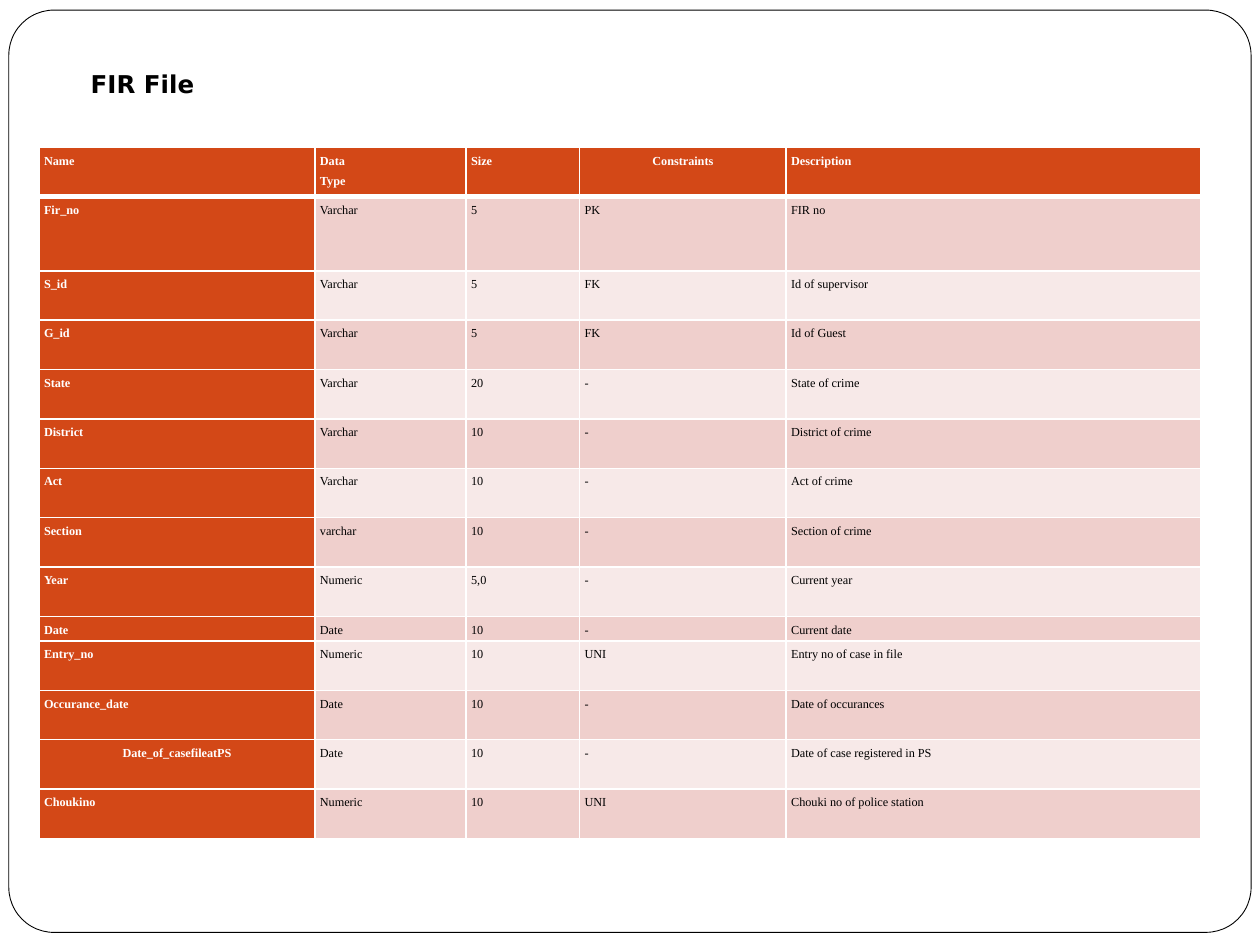
from lxml.etree import SubElement
from pptx import Presentation
from pptx.dml.color import RGBColor
from pptx.enum.shapes import MSO_SHAPE
from pptx.enum.text import PP_ALIGN
from pptx.oxml.ns import qn
from pptx.util import Inches, Pt

WHITE, BLACK, ORANGE = "FFFFFF", "000000", "D34817"
BANDS = ("EFCFCC", "F7E9E8")
COLUMN_WIDTHS = (2.19, 1.2, 0.9, 1.64, 3.29)
LINE_HEIGHT = 0.196
ROW_LINES = (2, 3, 2, 2, 2, 2, 2, 2, 2, 1, 2, 2, 2, 2)
CENTERED = ("Constraints", "Date_of_casefileatPS")
FIELDS = (
    ("Name", "Data\nType", "Size", "Constraints", "Description"),
    ("Fir_no", "Varchar", "5", "PK", "FIR no"),
    ("S_id", "Varchar", "5", "FK", "Id of supervisor"),
    ("G_id", "Varchar", "5", "FK", "Id of Guest"),
    ("State", "Varchar", "20", "-", "State of crime"),
    ("District", "Varchar", "10", "-", "District of crime"),
    ("Act", "Varchar", "10", "-", "Act of crime"),
    ("Section", "varchar", "10", "-", "Section of crime"),
    ("Year", "Numeric", "5,0", "-", "Current year"),
    ("Date", "Date", "10", "-", "Current date"),
    ("Entry_no", "Numeric", "10", "UNI", "Entry no of case in file"),
    ("Occurance_date", "Date", "10", "-", "Date of occurances"),
    ("Date_of_casefileatPS", "Date", "10", "-", "Date of case registered in PS"),
    ("Choukino", "Numeric", "10", "UNI", "Chouki no of police station"),
)


def color(hex_value):
    return RGBColor.from_string(hex_value)


def write(frame, text, *, font, size, fill=BLACK, bold=False,
          align=PP_ALIGN.LEFT, line_spacing=None, space_before=None):
    frame.word_wrap = True
    for number, line in enumerate(text.split("\n")):
        paragraph = frame.add_paragraph() if number else frame.paragraphs[0]
        paragraph.alignment = align
        paragraph.line_spacing = line_spacing
        paragraph.space_before = space_before
        run = paragraph.add_run()
        run.text = line
        run.font.name, run.font.size, run.font.bold = font, Pt(size), bold
        run.font.color.rgb = color(fill)


def set_borders(cell, bottom):
    properties = cell._tc.get_or_add_tcPr()
    for side, width in (("L", 1), ("R", 1), ("T", 1), ("B", bottom)):
        line = SubElement(properties, qn(f"a:ln{side}"), w=str(Pt(width)))
        SubElement(SubElement(line, qn("a:solidFill")), qn("a:srgbClr"), val=WHITE)


def add_frame(slide, left, top, width, height):
    frame = slide.shapes.add_shape(MSO_SHAPE.ROUNDED_RECTANGLE, left, top, width, height)
    frame.adjustments[0] = 0.049
    frame.shadow.inherit = False
    frame.fill.solid()
    frame.fill.fore_color.rgb = color(WHITE)
    frame.line.color.rgb = color(BLACK)
    frame.line.width = Pt(0.5)


def add_heading(slide, left, top, width, height):
    heading = slide.shapes.add_textbox(left, top, width, height).text_frame
    heading.margin_left = Inches(0.22)
    write(heading, "FIR File", font="DejaVu Sans", size=14, bold=True,
          space_before=Pt(5.8))


def add_field_table(slide, left, top, width, height):
    fields = slide.shapes.add_table(len(FIELDS), len(COLUMN_WIDTHS),
                                    left, top, width, height).table
    for column, column_width in zip(fields.columns, COLUMN_WIDTHS):
        column.width = Inches(column_width)
    for row, lines in zip(fields.rows, ROW_LINES):
        row.height = Inches(lines * LINE_HEIGHT)

    for r, values in enumerate(FIELDS):
        for c, value in enumerate(values):
            cell = fields.cell(r, c)
            heading = r == 0 or c == 0
            cell.margin_left = cell.margin_right = Inches(0.04)
            cell.margin_top = cell.margin_bottom = 0
            # Borders come before the fill in the cell properties
            set_borders(cell, bottom=3 if r == 0 else 1)
            cell.fill.solid()
            cell.fill.fore_color.rgb = color(ORANGE if heading else BANDS[(r - 1) % 2])
            write(cell.text_frame, value, font="Times New Roman", size=7,
                  fill=WHITE if heading else BLACK, bold=heading, line_spacing=1.5,
                  align=PP_ALIGN.CENTER if value in CENTERED else PP_ALIGN.LEFT)


def main():
    deck = Presentation()
    deck.slide_width, deck.slide_height = Inches(10), Inches(7.5)
    slide = deck.slides.add_slide(deck.slide_layouts[6])
    add_frame(slide, Inches(0.07), Inches(0.08), Inches(9.86), Inches(7.32))
    add_heading(slide, Inches(0.5), Inches(0.5), Inches(9), Inches(6.07))
    add_field_table(slide, Inches(0.31), Inches(1.17), Inches(9.22), Inches(5.5))
    deck.save("out.pptx")


if __name__ == "__main__":
    main()
